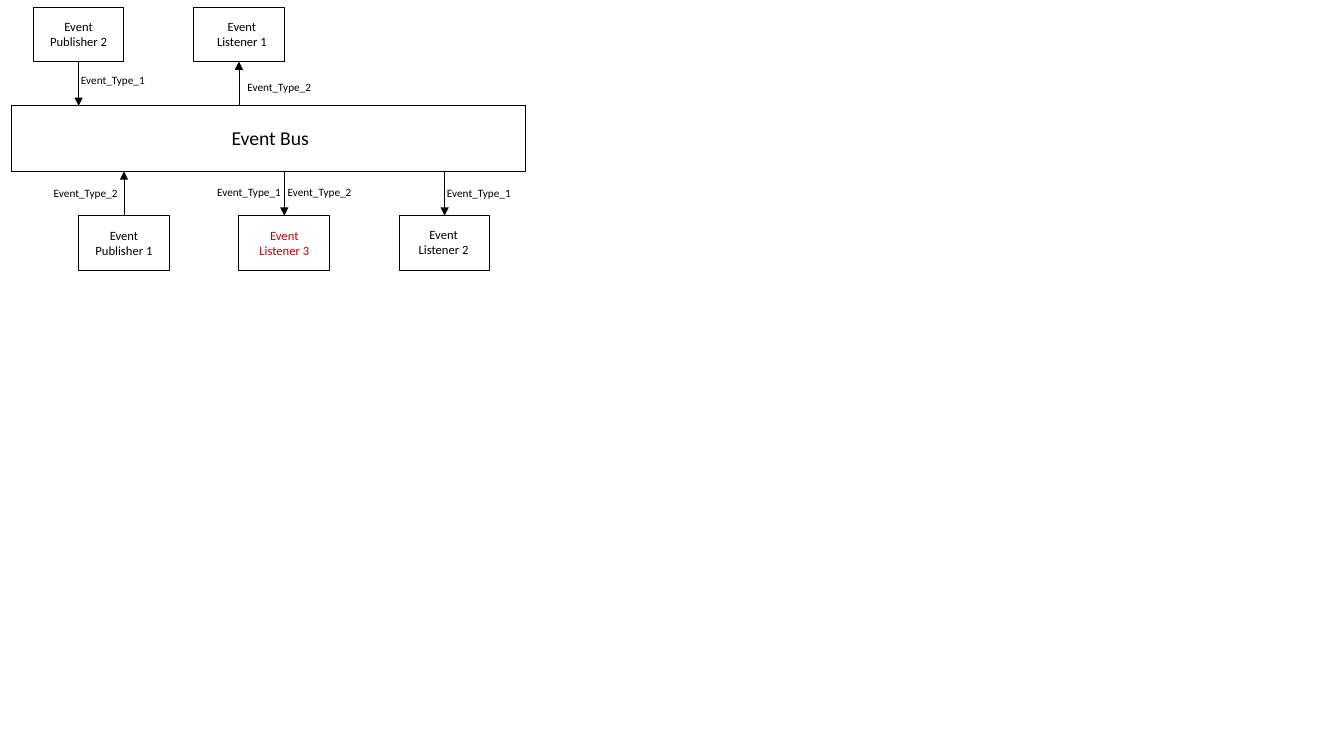
"""Draw an event bus with its publishers and listeners."""
from dataclasses import dataclass

from lxml import etree
from pptx import Presentation
from pptx import util as u
from pptx.dml.color import RGBColor
from pptx.enum import shapes, text
from pptx.oxml.ns import qn

BLACK, WHITE, RED = "000000", "FFFFFF", "C00000"
BUS_LEFT, BUS_TOP, BUS_WIDTH, BUS_HEIGHT = 0.11, 1.05, 5.1, 0.65
BUS_BOTTOM = BUS_TOP + BUS_HEIGHT
NODE_WIDTH, NODE_HEIGHT = 0.9, 0.54
UPPER_ROW, LOWER_ROW = 0.07, 2.14
CAPTION_WIDTH, CAPTION_HEIGHT = 0.84, 0.4
LABEL_WIDTH, LABEL_HEIGHT = 0.98, 0.24


@dataclass(frozen=True)
class Node:
    """A publisher or listener beside the bus."""
    name: str
    left: float
    top: float
    caption_left: float
    caption_top: float
    color: str = BLACK

    @property
    def publishes(self) -> bool:
        """Tell whether events flow from this node to the bus."""
        return "Publisher" in self.name


@dataclass(frozen=True)
class Label:
    """An event type beside an arrow."""
    name: str
    left: float
    top: float


NODES = [
    Node("Event Publisher 2", 0.33, UPPER_ROW, 0.36, 0.14),
    Node("Event Publisher 1", 0.78, LOWER_ROW, 0.81, 2.21),
    Node("Event Listener 1", 1.92, UPPER_ROW, 1.98, 0.14),
    Node("Event Listener 3", 2.37, LOWER_ROW, 2.4, 2.21, RED),
    Node("Event Listener 2", 3.96, LOWER_ROW, 3.98, 2.2),
]
LABELS = [
    Label("Event_Type_1", 0.63, 0.68),
    Label("Event_Type_2", 2.68, 1.79),
    Label("Event_Type_1", 4.26, 1.8),
    Label("Event_Type_1", 1.98, 1.79),
    Label("Event_Type_2", 0.36, 1.8),
    Label("Event_Type_2", 2.28, 0.75),
]


def rgb(value: str) -> RGBColor:
    """Turn a hex string into a colour."""
    return RGBColor.from_string(value)


def add_box(page, left: float, top: float, width: float, height: float):
    """Add a white rectangle with a thin black outline."""
    box = page.shapes.add_shape(
        shapes.MSO_SHAPE.RECTANGLE,
        u.Inches(left), u.Inches(top), u.Inches(width), u.Inches(height))
    box.shadow.inherit = False
    box.fill.solid()
    box.fill.fore_color.rgb = rgb(WHITE)
    box.line.color.rgb = rgb(BLACK)
    box.line.width = u.Pt(0.75)
    return box


def add_text(page, words: str, *, left: float, top: float, width: float,
             height: float, size: float, color: str = BLACK) -> None:
    """Add a centred text box."""
    box = page.shapes.add_textbox(
        u.Inches(left), u.Inches(top), u.Inches(width), u.Inches(height))
    frame = box.text_frame
    frame.word_wrap = True
    frame.auto_size = text.MSO_AUTO_SIZE.SHAPE_TO_FIT_TEXT
    para = frame.paragraphs[0]
    para.alignment = text.PP_ALIGN.CENTER
    span = para.add_run()
    span.text = words
    span.font.name = "Calibri"
    span.font.size = u.Pt(size)
    span.font.color.rgb = rgb(color)


def add_arrow(page, node: Node, box) -> None:
    """Add an arrow between a node's box and the bus."""
    upper = node.top == UPPER_ROW
    center = u.Inches(node.left + NODE_WIDTH / 2)
    bus_edge = u.Inches(BUS_TOP if upper else BUS_BOTTOM)
    site = 2 if upper else 0
    arrow = page.shapes.add_connector(
        shapes.MSO_CONNECTOR.STRAIGHT, center, bus_edge, center, bus_edge)
    if node.publishes:
        arrow.begin_connect(box, site)
    else:
        arrow.end_connect(box, site)
    arrow.line.color.rgb = rgb(BLACK)
    arrow.line.width = u.Pt(0.5)
    etree.SubElement(arrow.line._get_or_add_ln(), qn("a:tailEnd"), type="triangle")
    etree.SubElement(arrow._element.spPr, qn("a:effectLst"))


def main() -> None:
    """Build and save the slide."""
    deck = Presentation()
    deck.slide_width, deck.slide_height = u.Inches(13.33), u.Inches(7.5)
    page = deck.slides.add_slide(deck.slide_layouts[6])
    add_box(page, BUS_LEFT, BUS_TOP, BUS_WIDTH, BUS_HEIGHT)
    boxes = [add_box(page, node.left, node.top, NODE_WIDTH, NODE_HEIGHT)
             for node in NODES]
    for node in NODES:
        add_text(page, node.name, left=node.caption_left, top=node.caption_top,
                 width=CAPTION_WIDTH, height=CAPTION_HEIGHT, size=9,
                 color=node.color)
    for node, box in zip(NODES, boxes):
        add_arrow(page, node, box)
    for label in LABELS:
        add_text(page, label.name, left=label.left, top=label.top,
                 width=LABEL_WIDTH, height=LABEL_HEIGHT, size=8)
    add_text(page, "Event Bus", left=1.57, top=1.2, width=2.22, height=0.34, size=14)
    deck.save("out.pptx")


if __name__ == "__main__":
    main()
